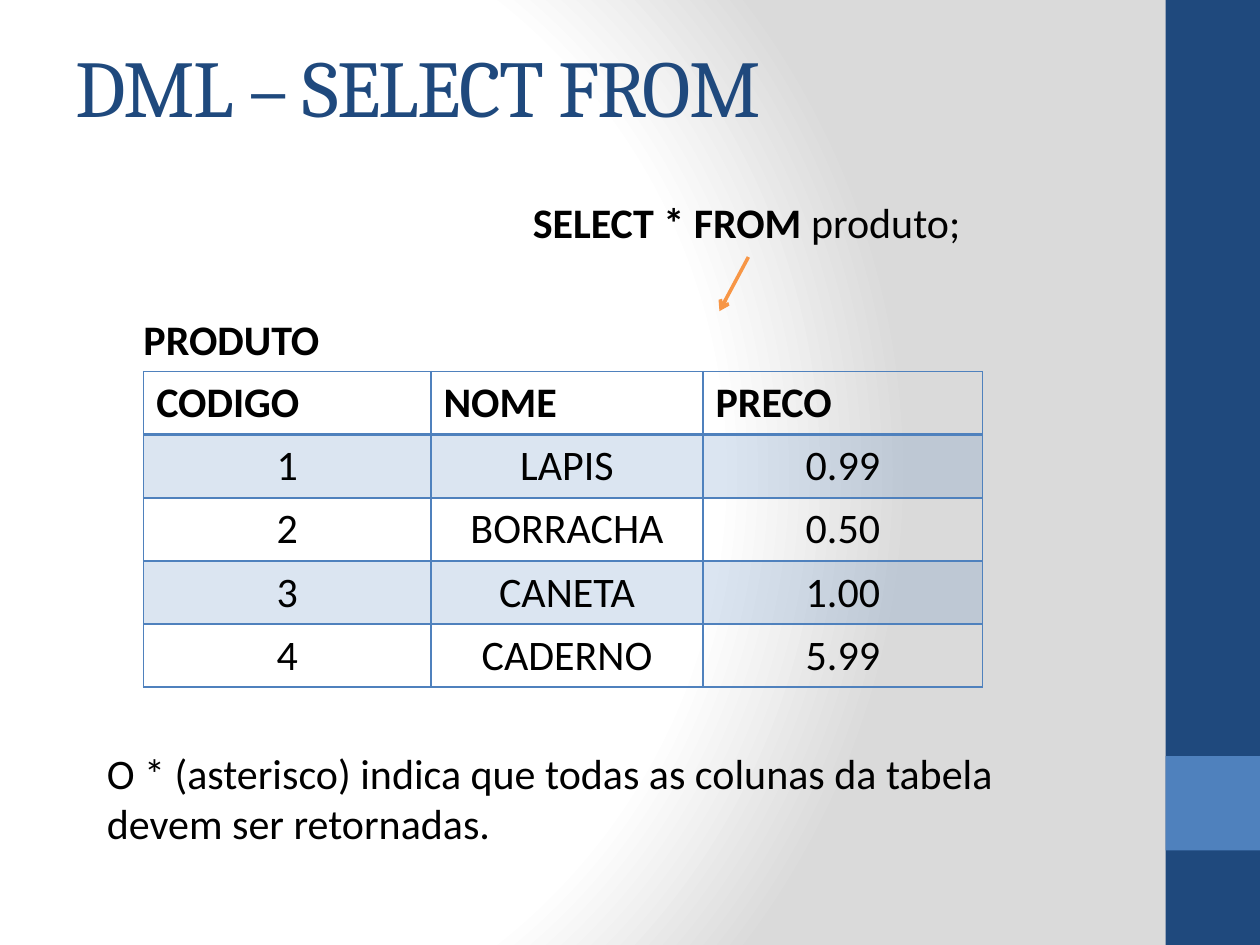
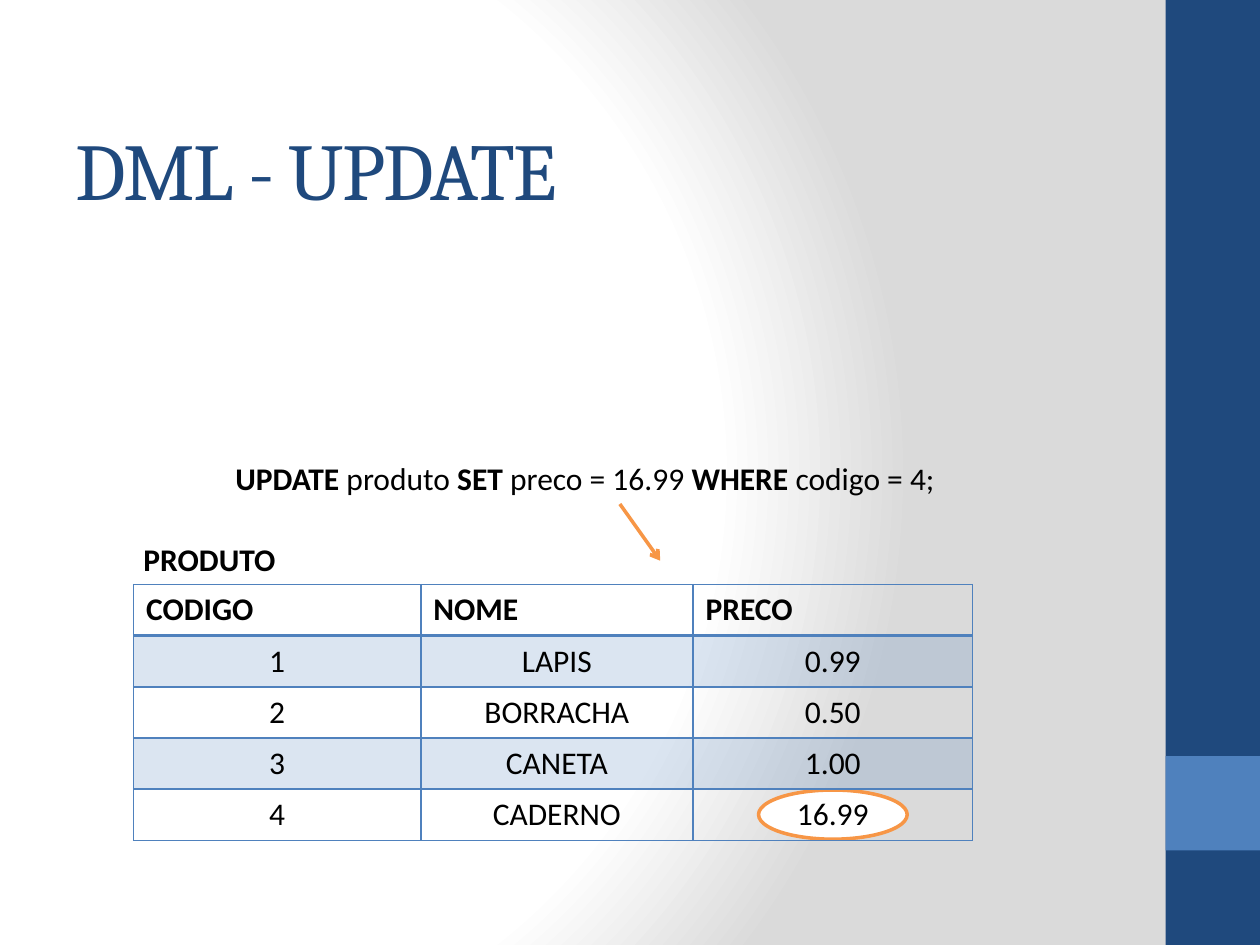
from dataclasses import dataclass

from lxml.etree import SubElement
from pptx import Presentation
from pptx.dml.color import RGBColor
from pptx.enum.shapes import MSO_CONNECTOR, MSO_SHAPE
from pptx.enum.text import MSO_AUTO_SIZE, PP_ALIGN
from pptx.oxml.ns import qn
from pptx.util import Inches, Pt


@dataclass(frozen=True)
class Theme:
    """Colours, fonts and type sizes shared by the slides."""
    navy: str = "1F497D"
    blue: str = "4F81BD"
    orange: str = "F79646"
    black: str = "000000"
    white: str = "FFFFFF"
    grey: str = "DADADA"
    title_font: str = "Cambria"
    body_font: str = "Calibri"
    title_size: int = 46
    large: int = 24
    small: int = 18
    band_opacity: int = 20


def rgb(color):
    """Turn a hex string into a colour."""
    return RGBColor.from_string(color)


def add_color(parent, color):
    """Append a hex colour element to an XML parent and return it."""
    return SubElement(parent, qn("a:srgbClr"), val=color)


class Deck:
    """Holds the style and the current slide, and draws each kind of element."""

    def __init__(self, theme):
        """Start a 4:3 presentation."""
        self.theme = theme
        self.presentation = Presentation()
        self.presentation.slide_width = Inches(10)
        self.presentation.slide_height = Inches(7.5)
        self.slide = None

    def new_slide(self, title, title_top):
        """Add a slide with its background, side band and title."""
        theme = self.theme
        self.slide = self.presentation.slides.add_slide(self.presentation.slide_layouts[6])
        self.background()
        self.shape(MSO_SHAPE.RECTANGLE, (9.25, 0, 0.75, 7.5), fill=theme.navy)
        self.shape(MSO_SHAPE.RECTANGLE, (9.25, 6, 0.75, 0.75), fill=theme.blue)
        paragraph = self.text((0.5, title_top, 8.33, 1.25), [], theme.title_size, grow=False)
        paragraph.line_spacing = 0.95
        run = self.run(paragraph, title, theme.title_size, False, theme.title_font, theme.navy)
        run.font._element.set("spc", "-100")

    def background(self):
        """Fill the background with a circular white to grey gradient."""
        self.slide.background.fill.gradient()
        gradient = self.slide.element.find(".//" + qn("a:gradFill"))
        for child in list(gradient):
            gradient.remove(child)
        stops = SubElement(gradient, qn("a:gsLst"))
        for position, color in ((0, self.theme.white), (75, self.theme.white), (100, self.theme.grey)):
            add_color(SubElement(stops, qn("a:gs"), pos=str(position * 1000)), color)
        circle = SubElement(gradient, qn("a:path"))
        circle.set("path", "circle")
        SubElement(circle, qn("a:fillToRect"), l="20000", t="50000", r="100000", b="50000")

    def shape(self, kind, box, fill, line=None):
        """Draw a preset shape with a plain fill and an optional outline."""
        shape = self.slide.shapes.add_shape(kind, *map(Inches, box))
        shape.shadow.inherit = False
        shape.fill.solid()
        shape.fill.fore_color.rgb = rgb(fill)
        if line:
            shape.line.color.rgb = rgb(line)
            shape.line.width = Pt(2)
        else:
            shape.line.fill.background()

    def run(self, paragraph, text, size, bold, font=None, color=None):
        """Add one styled run to a paragraph."""
        run = paragraph.add_run()
        run.text = text
        run.font.name = font or self.theme.body_font
        run.font.size = Pt(size)
        run.font.bold = bold
        run.font.color.rgb = rgb(color or self.theme.black)
        return run

    def text(self, box, runs, size, align=None, wrap=True, grow=True):
        """Add a text box from (text, bold) runs and return its paragraph."""
        frame = self.slide.shapes.add_textbox(*map(Inches, box)).text_frame
        frame.word_wrap = wrap
        frame.auto_size = MSO_AUTO_SIZE.SHAPE_TO_FIT_TEXT if grow else MSO_AUTO_SIZE.NONE
        paragraph = frame.paragraphs[0]
        paragraph.alignment = align
        for text, bold in runs:
            self.run(paragraph, text, size, bold)
        return paragraph

    def arrow(self, start, end):
        """Draw an orange line with an open arrowhead at its end."""
        connector = self.slide.shapes.add_connector(
            MSO_CONNECTOR.STRAIGHT, *map(Inches, start + end))
        connector.line.color.rgb = rgb(self.theme.orange)
        connector.line.width = Pt(2)
        SubElement(connector.line._get_or_add_ln(), qn("a:tailEnd"), type="arrow")
        SubElement(connector._element.spPr, qn("a:effectLst"))

    def cell_style(self, cell, row):
        """Give a cell its borders, and a translucent fill in odd rows."""
        properties = cell._tc.get_or_add_tcPr()
        thick_side = {0: "lnB", 1: "lnT"}.get(row)
        for side in ("lnL", "lnR", "lnT", "lnB"):
            width = Pt(2 if side == thick_side else 1)
            border = SubElement(properties, qn("a:" + side), w=str(width))
            add_color(SubElement(border, qn("a:solidFill")), self.theme.blue)
        if row % 2:
            cell.fill.solid()
            cell.fill.fore_color.rgb = rgb(self.theme.blue)
            color = properties.find(qn("a:solidFill")).find(qn("a:srgbClr"))
            SubElement(color, qn("a:alpha"), val=str(self.theme.band_opacity * 1000))
        else:
            cell.fill.background()

    def table(self, left, top, row_height, rows, size):
        """Draw the product table: bold header, centred values."""
        widths = (2.28, 2.16, 2.22)
        table = self.slide.shapes.add_table(
            len(rows), len(widths), Inches(left), Inches(top),
            Inches(sum(widths)), Inches(row_height * len(rows))).table
        table.first_row = table.horz_banding = False
        for column, width in zip(table.columns, widths):
            column.width = Inches(width)
        for row_index, values in enumerate(rows):
            for column_index, value in enumerate(values):
                cell = table.cell(row_index, column_index)
                self.cell_style(cell, row_index)
                paragraph = cell.text_frame.paragraphs[0]
                if row_index:
                    paragraph.alignment = PP_ALIGN.CENTER
                self.run(paragraph, value, size, row_index == 0)


def product_rows(last_price):
    """Return the product table with the given price for the last item."""
    return [
        ("CODIGO", "NOME", "PRECO"),
        ("1", "LAPIS", "0.99"),
        ("2", "BORRACHA", "0.50"),
        ("3", "CANETA", "1.00"),
        ("4", "CADERNO", last_price),
    ]


def select_slide(deck):
    """Build the SELECT slide."""
    size = deck.theme.large
    deck.new_slide("DML – SELECT FROM", 0.3)
    deck.text((4.13, 1.51, 4.02, 0.5), [("SELECT * FROM ", True), ("produto;", False)],
              size, PP_ALIGN.JUSTIFY)
    deck.table(1.14, 2.95, 0.5, product_rows("5.99"), size)
    deck.text((1.04, 2.44, 1.65, 0.5), [("PRODUTO", True)], size, PP_ALIGN.JUSTIFY)
    explanation = "O * (asterisco) indica que todas as colunas da tabela devem ser retornadas."
    deck.text((0.75, 5.88, 8.11, 0.91), [(explanation, False)], size)
    deck.arrow((5.94, 2.04), (5.71, 2.47))


def update_slide(deck):
    """Build the UPDATE slide."""
    size = deck.theme.small
    deck.new_slide("DML - UPDATE", 0.96)
    statement = [("UPDATE", True), (" produto ", False), ("SET ", True),
                 ("preco = 16.99 ", False), ("WHERE ", True), ("codigo = 4; ", False)]
    deck.text((1.77, 3.59, 5.84, 0.4), statement, size, wrap=False)
    deck.shape(MSO_SHAPE.OVAL, (6.02, 6.27, 1.18, 0.39), deck.theme.white, deck.theme.orange)
    deck.table(1.06, 4.64, 0.406, product_rows("16.99"), size)
    deck.text((1.04, 4.24, 6.85, 0.4), [("PRODUTO", True)], size, PP_ALIGN.JUSTIFY)
    deck.arrow((4.92, 4), (5.24, 4.45))


deck = Deck(Theme())
select_slide(deck)
update_slide(deck)
deck.presentation.save("out.pptx")
